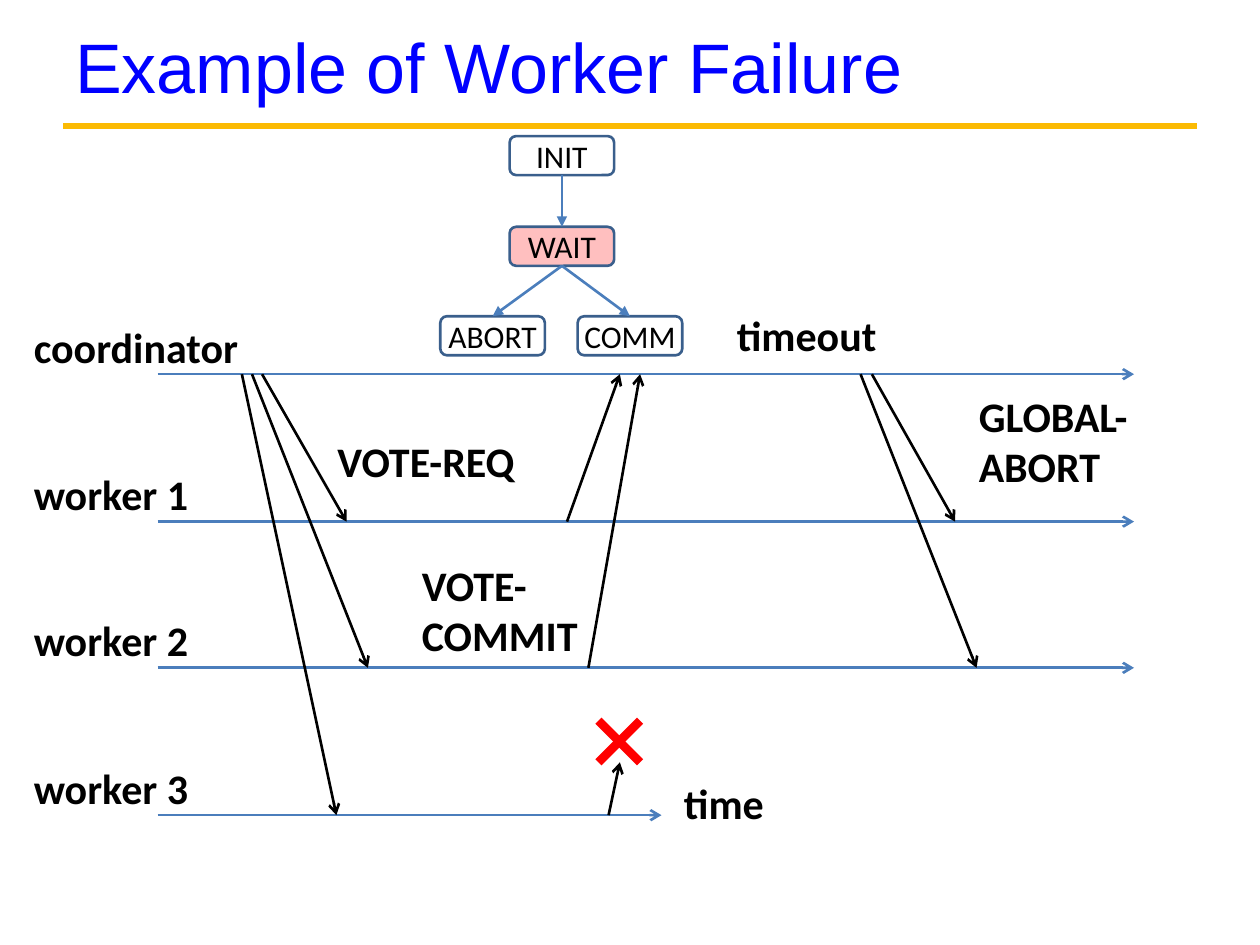
from lxml import etree
from pptx import Presentation
from pptx.dml.color import RGBColor
from pptx.enum.shapes import MSO_CONNECTOR, MSO_SHAPE
from pptx.enum.text import MSO_ANCHOR, PP_ALIGN
from pptx.oxml.ns import qn
from pptx.util import Inches, Pt

STRAIGHT = MSO_CONNECTOR.STRAIGHT
ROUNDED = MSO_SHAPE.ROUNDED_RECTANGLE
TOP, MIDDLE = MSO_ANCHOR.TOP, MSO_ANCHOR.MIDDLE
LEFT, CENTER = PP_ALIGN.LEFT, PP_ALIGN.CENTER

COLORS = {
    "title": "0000FF",
    "rule": "FBBA03",
    "timeline": "4B7EBC",
    "outline": "3A5F8C",
    "black": "000000",
    "red": "FF0000",
}
STATE_WIDTH, STATE_HEIGHT = 0.83, 0.31
LANES = [round(2.97 + 3.5 / 3 * lane, 2) for lane in range(4)]
COORDINATOR, WORKER_1, WORKER_2, WORKER_3 = LANES


def color(name):
    return RGBColor.from_string(COLORS[name])


def write_text(shape, text, size=24, font="Calibri", ink="black", bold=False,
               align=LEFT, anchor=TOP, inset=None):
    frame = shape.text_frame
    frame.word_wrap = True
    frame.vertical_anchor = anchor
    if inset is not None:
        frame.margin_left = frame.margin_right = Inches(inset)
        frame.margin_top = frame.margin_bottom = Inches(inset)
    paragraph = frame.paragraphs[0]
    paragraph.alignment = align
    run = paragraph.add_run()
    run.text = text
    run.font.name = font
    run.font.size = Pt(size)
    run.font.bold = bold
    run.font.color.rgb = color(ink)


class Diagram:
    """Draws on one slide in a shared style; all lengths are in inches."""

    def __init__(self, slide):
        self.slide = slide
        self.line_width = 1.5

    def text(self, text, left, top, width, height, **text_format):
        box = self.slide.shapes.add_textbox(
            Inches(left), Inches(top), Inches(width), Inches(height))
        write_text(box, text, **text_format)

    def label(self, text, left, top, width, height=0.51):
        self.text(text, left, top, width, height, bold=True)

    def line(self, start, end, ink="black", width=None, head=None):
        connector = self.slide.shapes.add_connector(
            STRAIGHT, *(Inches(value) for value in (*start, *end)))
        connector.line.color.rgb = color(ink)
        connector.line.width = Pt(width or self.line_width)
        properties = connector._element.spPr
        if head:
            line = properties.find(qn("a:ln"))
            etree.SubElement(line, qn("a:tailEnd"), type=head)
        etree.SubElement(properties, qn("a:effectLst"))

    def state(self, text, center, top, opacity=0):
        """Draw a state box, tinted red when opacity (percent) is given."""
        box = self.slide.shapes.add_shape(
            ROUNDED, Inches(center - STATE_WIDTH / 2), Inches(top),
            Inches(STATE_WIDTH), Inches(STATE_HEIGHT))
        box.shadow.inherit = False
        if opacity:
            box.fill.solid()
            box.fill.fore_color.rgb = color("red")
            tint = box._element.spPr.find(".//" + qn("a:srgbClr"))
            etree.SubElement(tint, qn("a:alpha"), val=str(opacity * 1000))
        else:
            box.fill.background()
        box.line.color.rgb = color("outline")
        box.line.width = Pt(self.line_width)
        write_text(box, text, size=18, align=CENTER, anchor=MIDDLE, inset=0)


def draw_timelines(diagram):
    names = ("coordinator", "worker 1", "worker 2", "worker 3")
    ends = (9, 9, 9, 5.25)
    widths = (2, 1.5, 1.5, 1.5)
    for name, lane, end, width in zip(names, LANES, ends, widths):
        diagram.line((1.25, lane), (end, lane), "timeline", head="arrow")
        diagram.label(name, 0.17, lane - 0.47, width)
    diagram.label("time", 5.33, 6.12, 0.92)
    diagram.label("timeout", 5.75, 2.41, 2)


def draw_messages(diagram):
    messages = [
        ((2.08, COORDINATOR), (2.75, WORKER_1)),
        ((2, COORDINATOR), (2.92, WORKER_2)),
        ((1.92, COORDINATOR), (2.67, WORKER_3)),
        ((4.5, WORKER_1), (4.92, COORDINATOR)),
        ((4.67, WORKER_2), (5.08, COORDINATOR)),
        ((6.92, COORDINATOR), (7.58, WORKER_1)),
        ((6.83, COORDINATOR), (7.75, WORKER_2)),
        ((4.83, WORKER_3), (4.92, 6.05)),
    ]
    for start, end in messages:
        diagram.line(start, end, head="arrow")
    diagram.label("VOTE-REQ", 2.58, 3.41, 1.75)
    diagram.label("VOTE-COMMIT", 3.25, 4.39, 1.83, 0.91)
    diagram.label("GLOBAL-ABORT", 7.67, 3.05, 2, 0.91)


def draw_failure_cross(diagram):
    left, top, right, bottom = 4.75, 5.72, 5.08, 6.05
    diagram.line((left, top), (right, bottom), "red", 5)
    diagram.line((right, top), (left, bottom), "red", 5)


def draw_state_machine(diagram):
    states = {
        "INIT": (4.46, 1.08),
        "WAIT": (4.46, 1.8),
        "ABORT": (3.91, 2.51),
        "COMM": (5, 2.51),
    }
    for name, (center, top) in states.items():
        diagram.state(name, center, top, opacity=25 if name == "WAIT" else 0)
    for source, target in (("INIT", "WAIT"), ("WAIT", "ABORT"), ("WAIT", "COMM")):
        center, top = states[source]
        diagram.line((center, top + STATE_HEIGHT), states[target],
                     "timeline", head="triangle")


def main():
    presentation = Presentation()
    presentation.slide_width = Inches(10)
    presentation.slide_height = Inches(7.5)
    slide = presentation.slides.add_slide(presentation.slide_layouts[6])
    diagram = Diagram(slide)
    diagram.line((0.5, 1), (9.5, 1), "rule", 3.75)
    diagram.text("Example of Worker Failure", 0.5, 0.04, 9, 0.96,
                 size=40, font="Arial", ink="title", anchor=MIDDLE)
    draw_timelines(diagram)
    draw_messages(diagram)
    draw_failure_cross(diagram)
    draw_state_machine(diagram)
    presentation.save("out.pptx")


if __name__ == "__main__":
    main()
